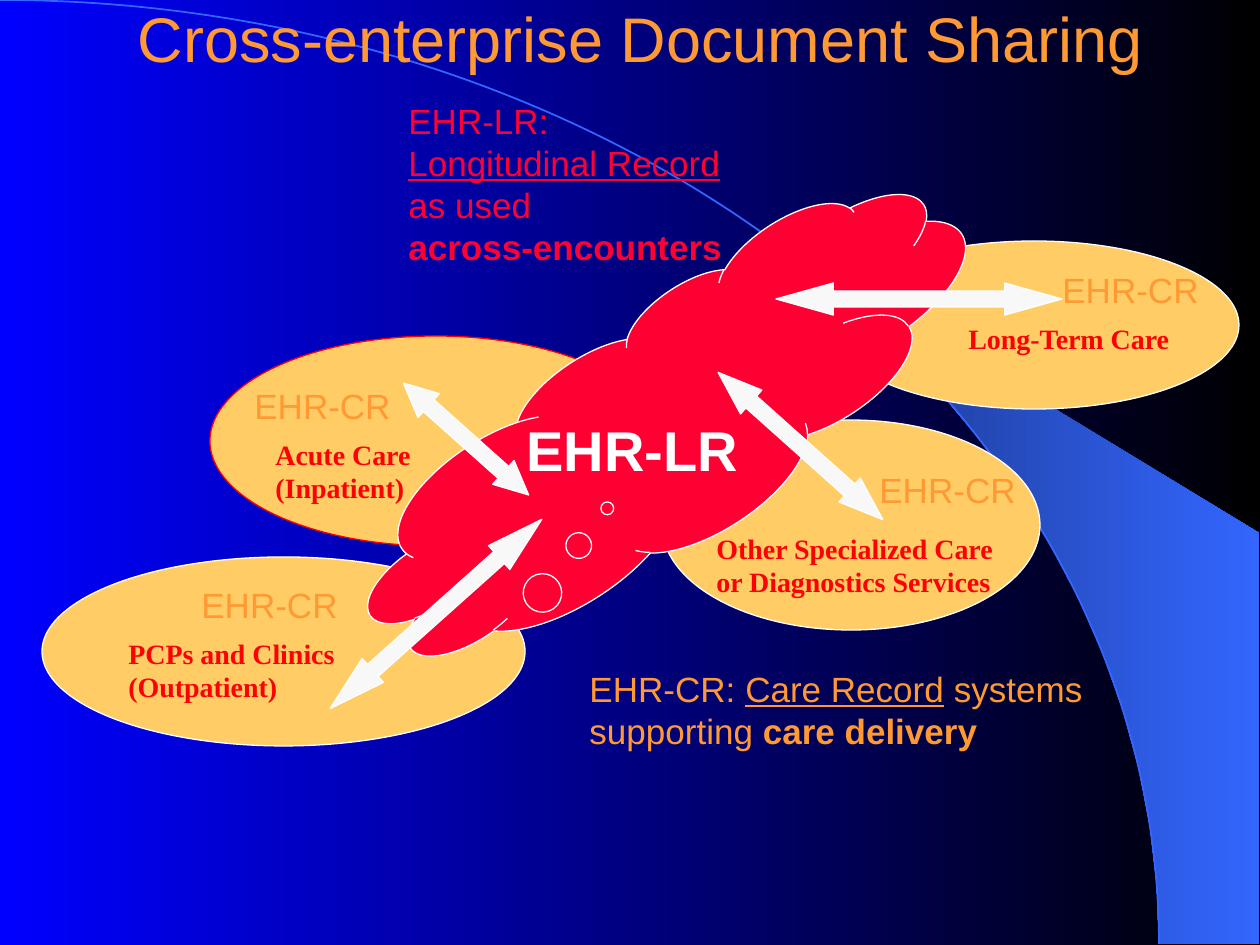
from math import cos, pi, sin

from pptx import Presentation
from pptx.dml.color import RGBColor
from pptx.enum.shapes import MSO_SHAPE as SHAPE
from pptx.enum.text import MSO_ANCHOR, MSO_AUTO_SIZE, PP_ALIGN
from pptx.util import Pt

PX = 914400 / 126
WIDTH, HEIGHT = 1260, 945
BLUE, BLACK, SKY, NAVY = "0000FF", "000000", "3366FF", "172F75"
SAND, ORANGE, RED, CRIMSON = "FFCC66", "FF9933", "FF0000", "FF0033"
WHITE, PALE = "FFFFFF", "F8F8F8"
SANS, SERIF = "Arial", "Times New Roman"

# The big ellipse is centred at the bottom left corner
ARC_WIDTH, ARC_HEIGHT = 1159, 944
WEDGE_START, WEDGE_STEPS = 0.695, 14
WEDGE_CORNERS = [(1259, 944), (1259, 533)]

TITLE = "Cross-enterprise Document Sharing"
TITLE_BOX = (125, -7, 1045, 88)

# Box, outline
CARE_SITES = [
    ((210, 336, 451, 210), RED),
    ((829, 241, 410, 168), WHITE),
    ((42, 557, 483, 189), WHITE),
    ((662, 420, 378, 210), WHITE),
]
# Box, lines
SITE_LABELS = [
    ((263, 431, 168, 81), "Acute Care\n(Inpatient)"),
    ((116, 630, 238, 81), "PCPs and Clinics\n(Outpatient)"),
    ((956, 315, 229, 47), "Long-Term Care"),
    ((704, 525, 304, 81), "Other Specialized Care\nor Diagnostics Services"),
]
# Box, colour, pieces with their style
DEFINITIONS = [
    ((577, 661, 520, 97), ORANGE, [
        ("EHR-CR: ", ""), ("Care Record", "underline"),
        (" systems\nsupporting", ""), (" care delivery", "bold")]),
    ((396, 93, 341, 181), CRIMSON, [
        ("EHR-LR:\n", ""), ("Longitudinal Record", "underline"),
        ("\nas used\n", ""), ("across-encounters", "bold")]),
]
CLOUD_BOX, CLOUD_ANGLE, CLOUD_TAIL = (317, 313, 703, 231), 326.9, (-0.135, 0.145)
CLOUD_LABEL_BOX = (514, 409, 239, 81)
# Box, rotation, head length relative to height
ARROWS = [
    ((690, 430, 221, 32), 41.8, 1.39),
    ((776, 283, 286, 32), 0, 1.79),
    ((294, 598, 284, 32), 318.2, 1.79),
    ((382, 423, 168, 32), 41.8, 1.06),
]
RECORD_LABELS = [(242, 378), (189, 577), (867, 462), (1050, 262)]
RECORD_SIZE = (165, 55)


def color(hex_code):
    """Turn a hex string into a colour."""
    return RGBColor.from_string(hex_code)


def emu(pixels):
    """Turn a sequence of pixel lengths into EMU."""
    return [round(value * PX) for value in pixels]


def paint(shape, fill=None, line=None, width=0.75):
    """Set plain fill and outline, without a shadow."""
    shape.shadow.inherit = False
    if fill:
        shape.fill.solid()
        shape.fill.fore_color.rgb = color(fill)
    else:
        shape.fill.background()
    if line:
        shape.line.color.rgb = color(line)
        shape.line.width = Pt(width)
    else:
        shape.line.fill.background()


def shade(fill, left, right):
    """Fill with a gradient from left to right."""
    fill.gradient()
    fill.gradient_angle = 0
    for stop, hex_code in zip(fill.gradient_stops, (left, right)):
        stop.color.rgb = color(hex_code)


def add_shape(kind, box, fill, line, rotation=0, adjustments=(), width=0.75):
    """Add a preset shape, turned and adjusted."""
    shape = slide.shapes.add_shape(kind, *emu(box))
    paint(shape, fill, line, width)
    shape.rotation = rotation
    for index, value in enumerate(adjustments):
        shape.adjustments[index] = value
    return shape


def set_font(run, size, face, hex_code, bold=False):
    """Format one run."""
    font = run.font
    font.size, font.name, font.bold = Pt(size), face, bold
    font.color.rgb = color(hex_code)


def add_text(box, pieces, size, face, hex_code):
    """Add an unwrapped text of styled pieces; a newline is a line break."""
    frame = slide.shapes.add_textbox(*emu(box)).text_frame
    frame.word_wrap = False
    frame.auto_size = MSO_AUTO_SIZE.SHAPE_TO_FIT_TEXT
    paragraph = frame.paragraphs[0]
    for text, style in pieces:
        for index, part in enumerate(text.split("\n")):
            if index:
                paragraph.add_line_break()
            if part:
                run = paragraph.add_run()
                run.text = part
                set_font(run, size, face, hex_code, style == "bold")
                run.font.underline = style == "underline"


def add_wedge():
    """Add the wedge that runs along the arc to the right edge."""
    span = pi / 2 - WEDGE_START
    angles = [WEDGE_START + span * i / WEDGE_STEPS for i in range(WEDGE_STEPS + 1)]
    rim = [(ARC_WIDTH * sin(a), ARC_HEIGHT * (1 - cos(a))) for a in angles]
    corners = [emu(point) for point in rim + WEDGE_CORNERS]
    builder = slide.shapes.build_freeform(*corners[0])
    builder.add_line_segments(corners[1:], close=True)
    shape = builder.convert_to_shape()
    paint(shape)
    shade(shape.fill, NAVY, SKY)
    return shape


deck = Presentation()
deck.slide_width, deck.slide_height = emu((WIDTH, HEIGHT))
slide = deck.slides.add_slide(deck.slide_layouts[5])
shade(slide.background.fill, BLUE, BLACK)

title = slide.shapes.title
title.left, title.top, title.width, title.height = emu(TITLE_BOX)
heading = title.text_frame
heading.text = TITLE
heading.word_wrap = False
heading.auto_size = MSO_AUTO_SIZE.NONE
heading.vertical_anchor = MSO_ANCHOR.TOP
heading.paragraphs[0].alignment = PP_ALIGN.LEFT
set_font(heading.paragraphs[0].runs[0], 36, SANS, ORANGE)

wedge = add_wedge()
arc = add_shape(SHAPE.ARC, (-ARC_WIDTH, 0, 2 * ARC_WIDTH, 2 * ARC_HEIGHT),
                None, SKY, width=1)
for backdrop in (wedge, arc):
    title.element.addprevious(backdrop.element)

for box, outline in CARE_SITES:
    add_shape(SHAPE.OVAL, box, SAND, outline)
for box, label in SITE_LABELS:
    add_text(box, [(label, "bold")], 16, SERIF, RED)
for box, hex_code, pieces in DEFINITIONS:
    add_text(box, pieces, 20, SANS, hex_code)

add_shape(SHAPE.CLOUD_CALLOUT, CLOUD_BOX, CRIMSON, WHITE, CLOUD_ANGLE, CLOUD_TAIL)
add_text(CLOUD_LABEL_BOX, [("EHR-LR", "bold")], 32, SANS, WHITE)
for box, rotation, head in ARROWS:
    add_shape(SHAPE.LEFT_RIGHT_ARROW, box, PALE, WHITE, rotation, (0.5, head))
for corner in RECORD_LABELS:
    add_text(corner + RECORD_SIZE, [("EHR-CR", "")], 20, SANS, ORANGE)

deck.save("out.pptx")
